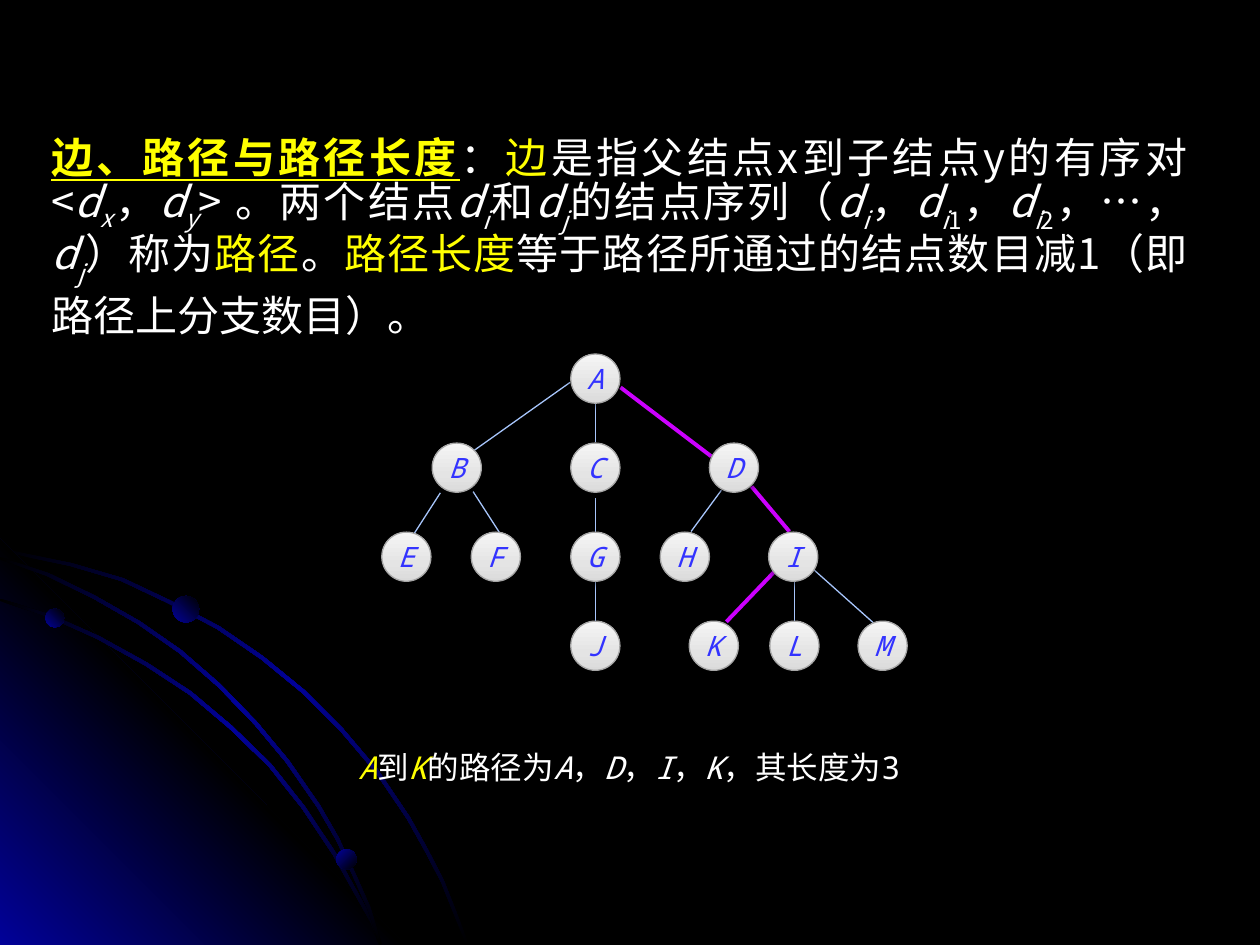
from lxml import etree
from pptx import Presentation
from pptx.dml.color import RGBColor
from pptx.enum.shapes import MSO_CONNECTOR, MSO_SHAPE
from pptx.enum.text import MSO_ANCHOR, MSO_AUTO_SIZE, PP_ALIGN
from pptx.oxml import parse_xml
from pptx.oxml.ns import nsdecls, qn
from pptx.util import Inches, Pt

WIDTH, HEIGHT = 10, 7.5
BLACK = RGBColor(0x00, 0x00, 0x00)
WHITE = RGBColor(0xFF, 0xFF, 0xFF)
YELLOW = RGBColor(0xFF, 0xFF, 0x00)
NAVY = RGBColor(0x01, 0x01, 0x99)
LETTER_BLUE = RGBColor(0x33, 0x33, 0xFF)
EDGE_BLUE = RGBColor(0xA7, 0xC5, 0xFB)
PATH_PURPLE = RGBColor(0xCC, 0x00, 0xFF)
RIM_GREY = RGBColor(0xA6, 0xA6, 0xA6)
NODE_STOPS = [(0, RGBColor(0xDA, 0xDA, 0xDA)), (35, RGBColor(0xE4, 0xE4, 0xE4)),
              (100, RGBColor(0xF5, 0xF5, 0xF5))]
SANS, MONO = "Noto Sans CJK SC", "Noto Sans Mono"

# Outer edges of the three arcs, in inches from the slide's corner
ARCS = [
    [(0, 4.35), (0.28, 4.41), (0.57, 4.47), (0.98, 4.59), (1.36, 4.77), (1.74, 4.97),
     (2.09, 5.21), (2.42, 5.48), (2.72, 5.78), (3, 6.11), (3.25, 6.48), (3.39, 6.73),
     (3.52, 6.98), (3.62, 7.23), (3.72, 7.49)],
    [(0, 4.75), (0.41, 4.88), (0.79, 5.05), (1.17, 5.26), (1.52, 5.49), (1.84, 5.76),
     (2.15, 6.06), (2.42, 6.4), (2.66, 6.76), (2.86, 7.12), (2.96, 7.3), (3.03, 7.49)],
    [(0, 4.42), (0.39, 4.55), (0.76, 4.73), (1.11, 4.93), (1.44, 5.16), (1.75, 5.43),
     (2.04, 5.73), (2.29, 6.03), (2.54, 6.39), (2.69, 6.65), (2.82, 6.93), (2.94, 7.2),
     (3.03, 7.49)],
]
BALLS = [(0.36, 4.83, 0.15, 315), (2.67, 6.74, 0.16, 45), (1.37, 4.73, 0.21, 315)]

# Node: column (of 41.7 across the tree) and level
COLUMNS = 41.7
NODES = {"A": (15, 0), "B": (4, 1), "C": (15, 1), "D": (26, 1), "E": (0, 2), "F": (7.1, 2),
         "G": (15, 2), "J": (15, 3), "H": (22.1, 2), "I": (30.7, 2), "K": (24.4, 3),
         "L": (30.8, 3), "M": (37.8, 3)}
# Parent and child, then each end's offset in columns from its node's centre
EDGES = [("AB", (-2, 0.3), (1, -1.1)), ("AC", (0, 1.9), (0, -2)), ("AD", (2, 0.7), (-1.8, -0.9)),
         ("BE", (-1.3, 2), (0.6, -1.8)), ("BF", (1.3, 1.9), (0.3, -1.9)),
         ("CG", (0, 2.4), (0, -1.9)), ("GJ", (0, 2), (0, -1.9)),
         ("DH", (-1, 1.8), (0.5, -2)), ("DI", (1.4, 1.5), (-0.3, -2)),
         ("IK", (-1.5, 1.2), (1, -1.9)), ("IL", (0.1, 2), (0, -1.9)),
         ("IM", (1.6, 1), (-0.6, -1.7))]
PATH = {"AD", "DI", "IK"}

# Style letters: y yellow, i italic, b bold underlined, s and t lowered by 25 and 30 %
DEFINITION = [
    ("边、路径与路径长度", "yb"), ("：", ""), ("边", "y"), ("是指父结点x到子结点y的有序对<", ""),
    ("d", "i"), ("x", "is"), ("，", ""), ("d", "i"), ("y", "is"), ("> 。两个结点", ""),
    ("d", "i"), ("i", "it"), ("和", ""), ("d", "i"), ("j", "it"), ("的结点序列（", ""),
    ("d", "i"), ("i", "it"), ("，", ""), ("d", "i"), ("i", "it"), ("1", "t"), ("，", ""),
    ("d", "i"), ("i", "it"), ("2", "t"), ("，…，", ""), ("d", "i"), ("j", "it"),
    ("）称为", ""), ("路径", "y"), ("。", ""), ("路径长度", "y"),
    ("等于路径所通过的结点数目减1（即路径上分支数目）。", "")]
CAPTION = [("A", "yi"), ("到", ""), ("K", "yi"), ("的路径为", ""), ("A", "i"), ("，", ""),
           ("D", "i"), ("，", ""), ("I", "i"), ("，", ""), ("K", "i"), ("，其长度为3", "")]


def set_gradient(s, stops, angle):
    s.shadow.inherit = False
    s.fill.background()
    marks = "".join(f'<a:gs pos="{pos * 1000}"><a:srgbClr val="{color}"/></a:gs>'
                    for pos, color in stops)
    old = s._element.spPr.find(qn("a:noFill"))
    old.getparent().replace(old, parse_xml(
        f'<a:gradFill {nsdecls("a")} rotWithShape="1"><a:gsLst>{marks}</a:gsLst>'
        f'<a:lin ang="{angle * 60000}" scaled="0"/></a:gradFill>'))


def style_run(r, font, size, color, style=""):
    f = r.font
    f.name, f.size, f.color.rgb = font, Pt(size), color
    f.italic, f.bold, f.underline = "i" in style, "b" in style, "b" in style
    etree.SubElement(r._r.rPr, qn("a:ea")).set("typeface", font)
    for letter, baseline in (("s", "-25000"), ("t", "-30000")):
        if letter in style:
            r._r.rPr.set("baseline", baseline)


def add_outline(slide, points):
    builder = slide.shapes.build_freeform(Inches(points[0][0]), Inches(points[0][1]))
    builder.add_line_segments([(Inches(x), Inches(y)) for x, y in points[1:]])
    return builder.convert_to_shape()


def add_backdrop(slide, box):
    """Blue corner glow, arcs and balls, all measured inside the box."""
    left, top, w, h = box
    glow = [(0, NAVY), (50, BLACK), (100, NAVY)]
    streak = [(0, BLACK), (50, NAVY), (100, BLACK)]
    bottom = top + h

    def ribbon(edge):
        outer = [(left + x, top + y) for x, y in edge]
        inner = [(max(left, x - 0.02), min(bottom, y + 0.02)) for x, y in reversed(outer)]
        return outer + inner

    corner = [(left, bottom), (left, top + 0.57 * h), (left + 0.322 * w, bottom)]
    parts = [(ribbon(ARCS[0]), streak, 45), (corner, glow, 315),
             (ribbon(ARCS[1]), streak, 45), (ribbon(ARCS[2]), streak, 45)]
    for points, stops, angle in parts:
        s = add_outline(slide, points)
        set_gradient(s, stops, angle)
        s.line.fill.background()
    for x, y, size, angle in BALLS:
        s = slide.shapes.add_shape(MSO_SHAPE.OVAL, Inches(left + x), Inches(top + y),
                                   Inches(size), Inches(size))
        set_gradient(s, [(0, NAVY), (100, BLACK)], angle)
        s.line.fill.background()


def add_paragraph_box(slide, box, pieces, font, size, align, before, spacing=None):
    tf = slide.shapes.add_textbox(*map(Inches, box)).text_frame
    tf.word_wrap = True
    tf.auto_size = MSO_AUTO_SIZE.SHAPE_TO_FIT_TEXT
    p = tf.paragraphs[0]
    p.alignment, p.space_before, p.line_spacing = align, before, spacing
    # Keep closing punctuation inside the margin
    p._p.get_or_add_pPr().set("hangingPunct", "0")
    for text, style in pieces:
        r = p.add_run()
        r.text = text
        style_run(r, font, size, YELLOW if "y" in style else WHITE, style)


def add_node(slide, name, x, y, size):
    s = slide.shapes.add_shape(MSO_SHAPE.OVAL, *map(Inches, (x, y, size, size)))
    set_gradient(s, NODE_STOPS, 270)
    s.line.color.rgb, s.line.width = RIM_GREY, Pt(0.75)
    s._element.spPr.find(qn("a:effectLst")).append(parse_xml(
        f'<a:outerShdw {nsdecls("a")} blurRad="{Pt(3.1)}" dist="{Pt(1.6)}" dir="5400000" '
        'rotWithShape="0"><a:srgbClr val="000000"><a:alpha val="38000"/></a:srgbClr>'
        '</a:outerShdw>'))
    tf = s.text_frame
    tf.text, tf.word_wrap, tf.vertical_anchor = name, False, MSO_ANCHOR.MIDDLE
    p = tf.paragraphs[0]
    p.alignment = PP_ALIGN.CENTER
    style_run(p.runs[0], MONO, 16, LETTER_BLUE, "i")


def add_tree(slide, box):
    """Four levels of round nodes, with the path from A to K picked out."""
    left, top, w, h = box
    col = w / COLUMNS
    size = 3.9 * col
    level_gap = (h - size) / 3
    corners = {n: (left + c * col, top + level * level_gap) for n, (c, level) in NODES.items()}
    # Edges lie behind the nodes
    for pair, *offsets in EDGES:
        ends = [Inches(corner + size / 2 + shift * col)
                for name, offset in zip(pair, offsets)
                for corner, shift in zip(corners[name], offset)]
        s = slide.shapes.add_connector(MSO_CONNECTOR.STRAIGHT, *ends)
        s.line.color.rgb = PATH_PURPLE if pair in PATH else EDGE_BLUE
        s.line.width = Pt(2.25 if pair in PATH else 0.75)
        etree.SubElement(s._element.spPr, qn("a:effectLst"))
    for name, (x, y) in corners.items():
        add_node(slide, name, x, y, size)


def main():
    prs = Presentation()
    prs.slide_width, prs.slide_height = Inches(WIDTH), Inches(HEIGHT)
    slide = prs.slides.add_slide(prs.slide_layouts[6])
    slide.background.fill.solid()
    slide.background.fill.fore_color.rgb = BLACK

    add_backdrop(slide, (0, 0, WIDTH, HEIGHT))
    add_paragraph_box(slide, (0.31, 0.98, 9.21, 1.78), DEFINITION, SANS, 24,
                      PP_ALIGN.JUSTIFY, Pt(6), Pt(30))
    add_tree(slide, (3.03, 2.81, 4.17, 2.51))
    add_paragraph_box(slide, (2.43, 5.89, 5.13, 0.4), CAPTION, MONO, 18,
                      PP_ALIGN.CENTER, Pt(9))
    prs.save("out.pptx")


if __name__ == "__main__":
    main()
